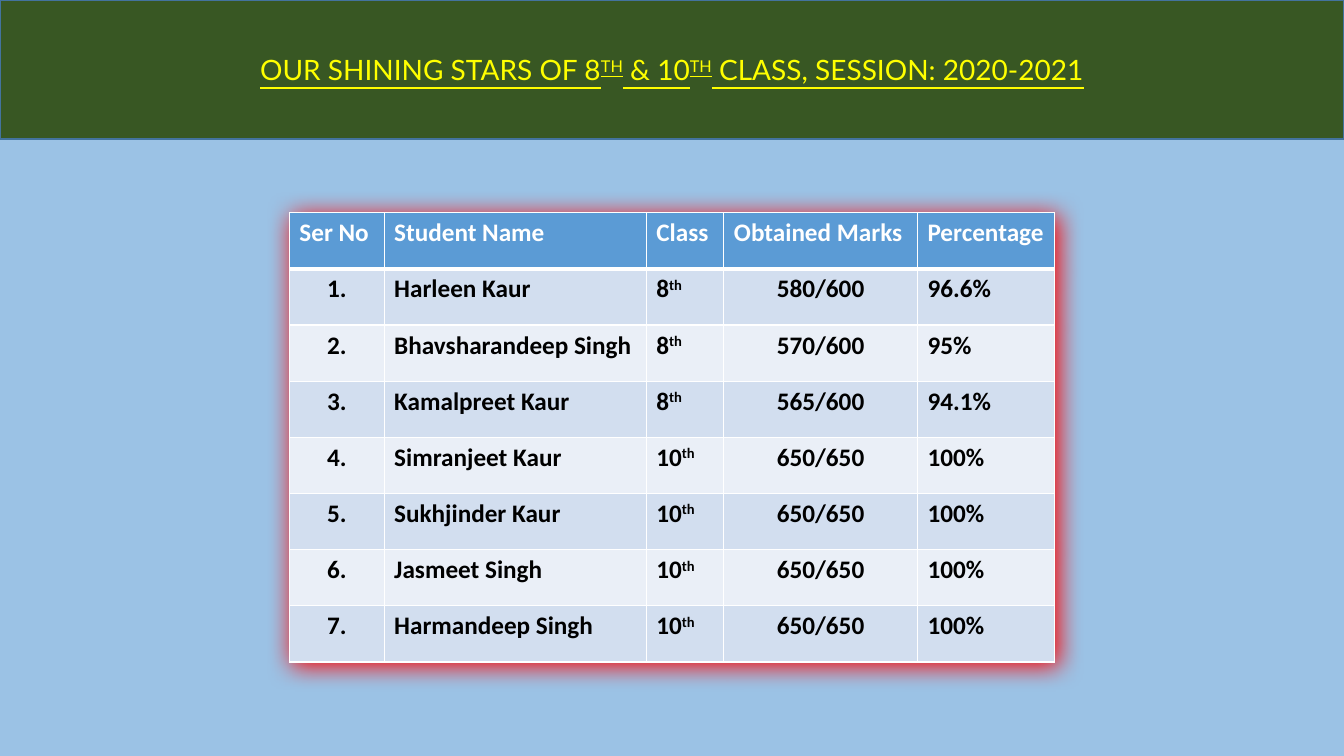
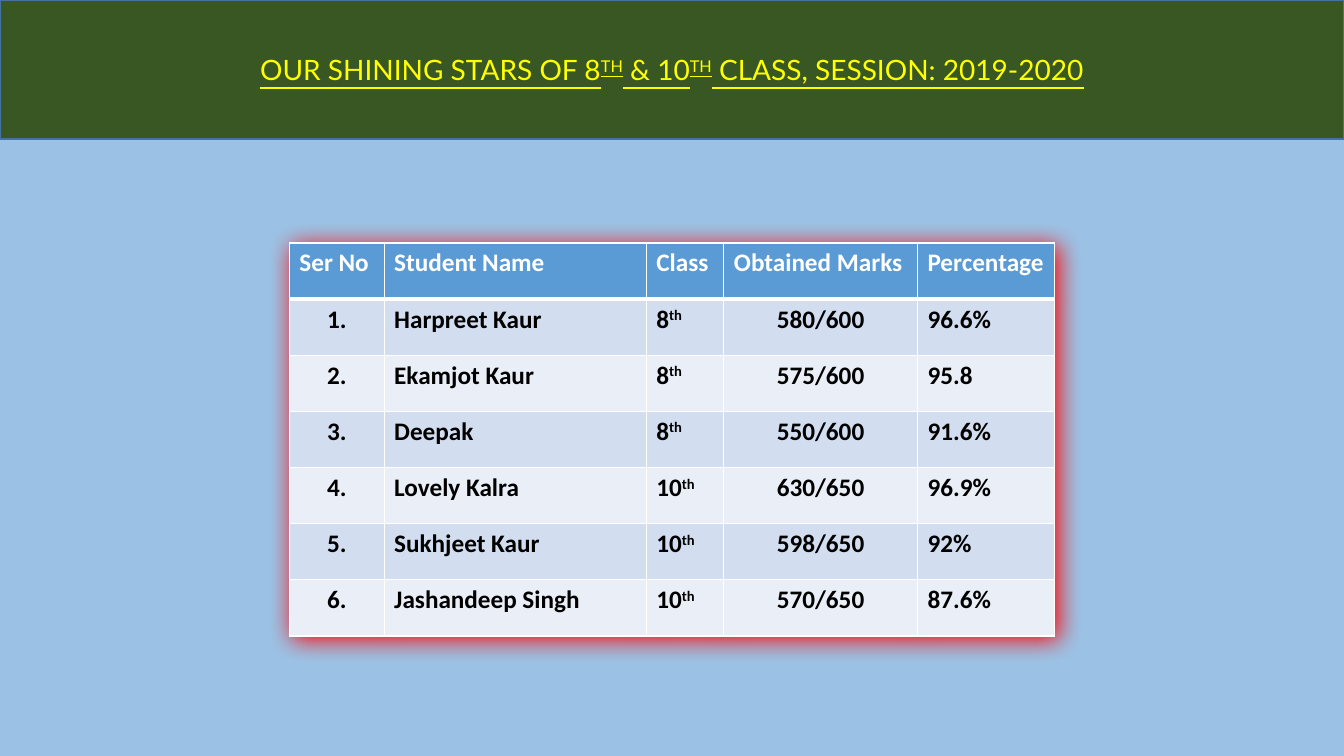
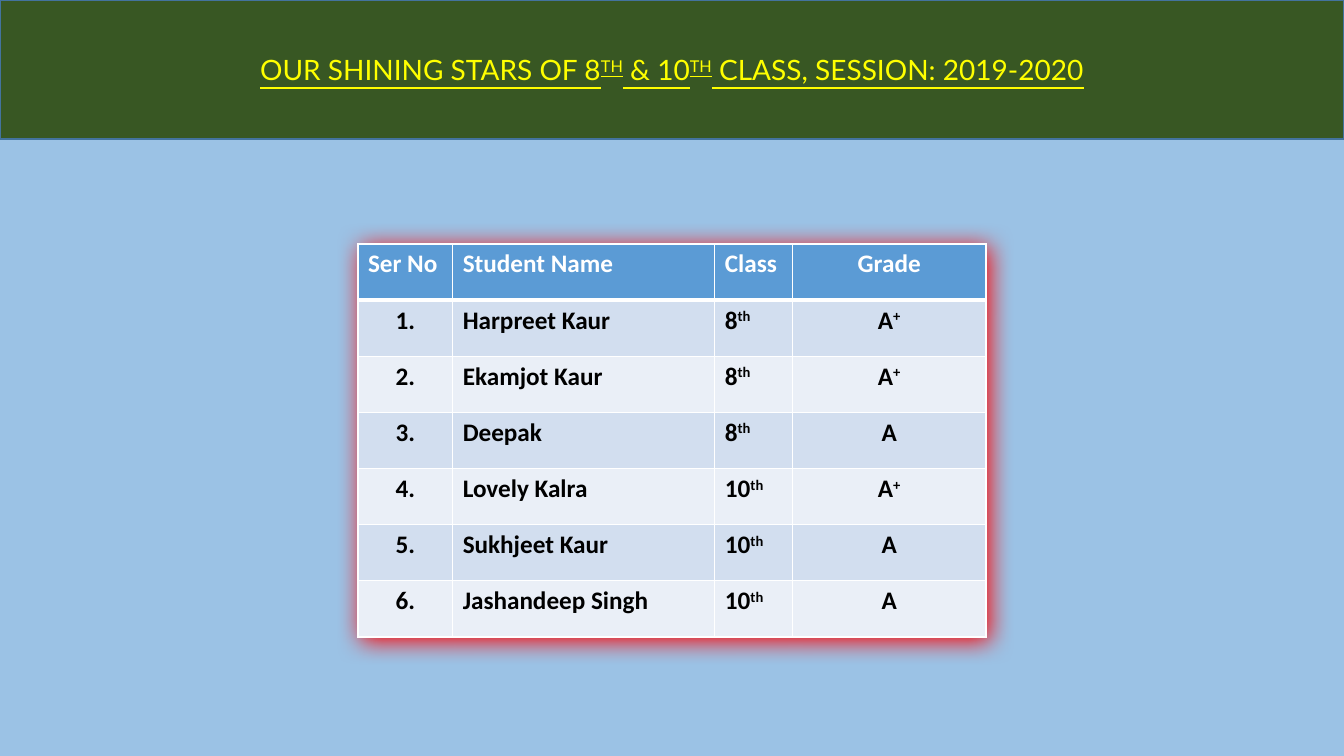
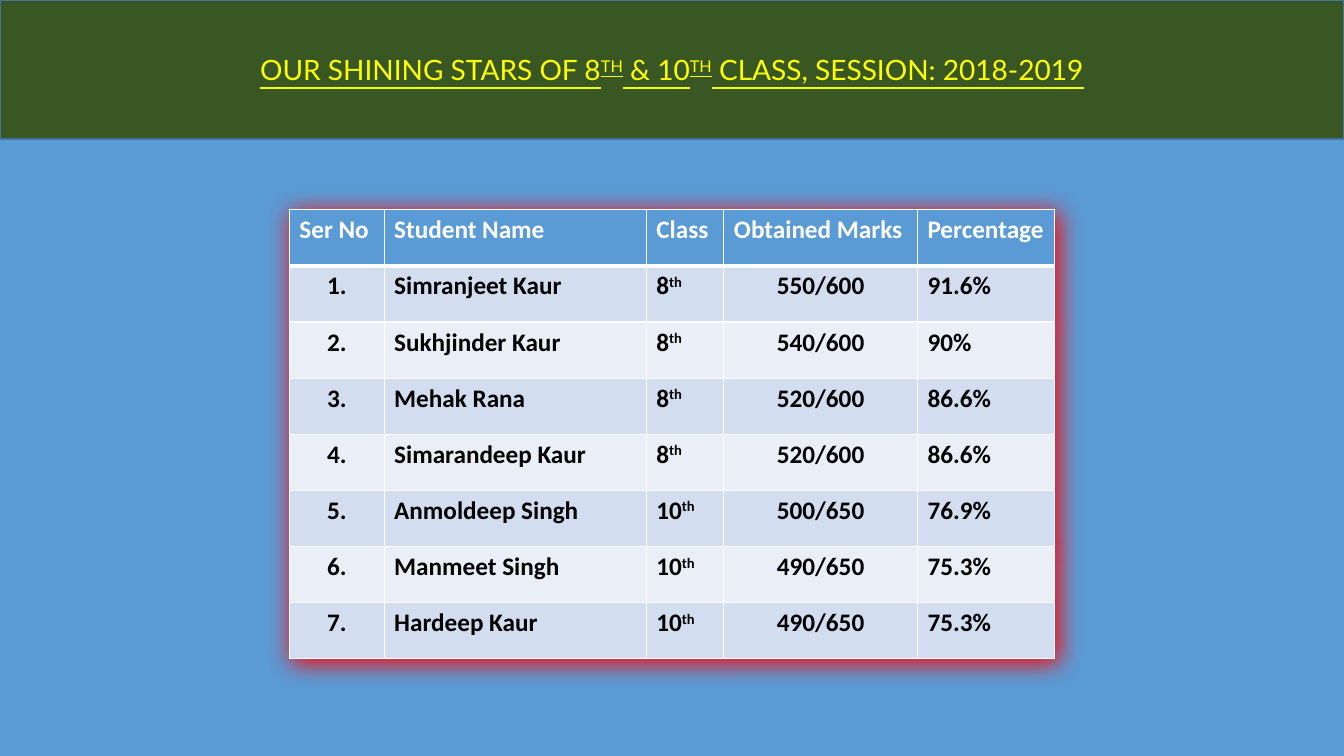
from dataclasses import dataclass

from lxml.etree import SubElement as Sub
from pptx import Presentation
from pptx.dml.color import RGBColor
from pptx.enum.text import MSO_ANCHOR as Anchor, MSO_AUTO_SIZE as Fit, PP_ALIGN as Align
from pptx.oxml import parse_xml
from pptx.oxml.ns import nsdecls, qn
from pptx.util import Inches, Pt

WIDE, HIGH = Inches(13.33), Inches(7.5)
BLUE, PALE, GREEN, EDGE = "5B9BD5", "9BC2E5", "385723", "43739E"
YELLOW, WHITE, BLACK, RED = "FFFF00", "FFFFFF", "000000", "FF0000"
BANDS = ("D2DEEF", "EAEFF7")
ROW = Inches(3.9) // 7
TITLE = "OUR SHINING STARS OF 8^TH^ & 10^TH^ CLASS, SESSION: "


@dataclass(frozen=True)
class Column:
    """A table column with its heading, width and alignments."""
    head: str
    width: float
    align: Align = Align.LEFT
    top: Align = Align.LEFT


@dataclass(frozen=True)
class Page:
    """One session's table of students."""
    session: str
    top: float
    cols: tuple[Column, ...]
    rows: tuple[tuple[str, ...], ...]
    back: str = PALE


BASE = (
    Column("Ser No", 0.94, Align.CENTER),
    Column("Student Name", 2.6),
    Column("Class", 0.77),
)
MARKS = BASE + (Column("Obtained Marks", 1.92, Align.CENTER), Column("Percentage", 1.36))
GRADES = BASE + (Column("Grade", 1.92, Align.CENTER, Align.CENTER),)

PAGES = (
    Page("2020-2021", 2.11, MARKS, (
        ("Harleen Kaur", "8", "580/600", "96.6%"),
        ("Bhavsharandeep Singh", "8", "570/600", "95%"),
        ("Kamalpreet Kaur", "8", "565/600", "94.1%"),
        ("Simranjeet Kaur", "10", "650/650", "100%"),
        ("Sukhjinder Kaur", "10", "650/650", "100%"),
        ("Jasmeet Singh", "10", "650/650", "100%"),
        ("Harmandeep Singh", "10", "650/650", "100%"),
    )),
    Page("2019-2020", 2.41, MARKS, (
        ("Harpreet Kaur", "8", "580/600", "96.6%"),
        ("Ekamjot Kaur", "8", "575/600", "95.8"),
        ("Deepak", "8", "550/600", "91.6%"),
        ("Lovely Kalra", "10", "630/650", "96.9%"),
        ("Sukhjeet Kaur", "10", "598/650", "92%"),
        ("Jashandeep Singh", "10", "570/650", "87.6%"),
    )),
    Page("2019-2020", 2.42, GRADES, (
        ("Harpreet Kaur", "8", "A^+"),
        ("Ekamjot Kaur", "8", "A^+"),
        ("Deepak", "8", "A"),
        ("Lovely Kalra", "10", "A^+"),
        ("Sukhjeet Kaur", "10", "A"),
        ("Jashandeep Singh", "10", "A"),
    )),
    Page("2018-2019", 2.08, MARKS, (
        ("Simranjeet Kaur", "8", "550/600", "91.6%"),
        ("Sukhjinder Kaur", "8", "540/600", "90%"),
        ("Mehak Rana", "8", "520/600", "86.6%"),
        ("Simarandeep Kaur", "8", "520/600", "86.6%"),
        ("Anmoldeep Singh", "10", "500/650", "76.9%"),
        ("Manmeet Singh", "10", "490/650", "75.3%"),
        ("Hardeep Kaur", "10", "490/650", "75.3%"),
    ), BLUE),
)


def paint(fill, color: str) -> None:
    """Make a fill solid in the given hex colour."""
    fill.solid()
    fill.fore_color.rgb = RGBColor.from_string(color)


def write(frame, text: str, *, size: float = 18, font: str = "Calibri",
          color: str = BLACK, bold: bool = False, line: bool = False,
          align: Align = Align.LEFT) -> None:
    """Write text into a frame, raising each part between carets."""
    para = frame.paragraphs[0]
    para.alignment = align
    para.line_spacing = 1.0
    for at, part in enumerate(text.split("^")):
        if not part:
            continue
        run = para.add_run()
        run.text = part
        run.font.size, run.font.name = Pt(size), font
        run.font.bold, run.font.underline = bold, line
        run.font.color.rgb = RGBColor.from_string(color)
        if at % 2:
            run.font._element.set("baseline", "30000")


def border(cell, **sides: float) -> None:
    """Draw white cell borders of the given point widths."""
    props = cell._tc.get_or_add_tcPr()
    for side, width in sides.items():
        edge = Sub(props, qn(f"a:ln{side}"), w=str(Pt(width)))
        Sub(Sub(edge, qn("a:solidFill")), qn("a:srgbClr"), val=WHITE)


def glow(table) -> None:
    """Put a soft red shadow around a table."""
    table._tbl.tblPr.insert(0, parse_xml(
        f'<a:effectLst {nsdecls("a")}><a:outerShdw blurRad="{Inches(0.25)}" '
        f'dist="{Inches(0.04)}" dir="2700000" algn="ctr" rotWithShape="0">'
        f'<a:srgbClr val="{RED}"/></a:outerShdw></a:effectLst>'))


def banner(slide, session: str) -> None:
    """Format the title as a green band across the slide."""
    band = slide.shapes.title
    band.left, band.top, band.width, band.height = 0, 0, WIDE, Inches(1.38)
    paint(band.fill, GREEN)
    paint(band.line.fill, EDGE)
    band.line.width = Pt(1)
    frame = band.text_frame
    frame.word_wrap, frame.auto_size = True, Fit.NONE
    frame.vertical_anchor = Anchor.MIDDLE
    write(frame, TITLE + session, size=20, font="Lato", color=YELLOW,
          line=True, align=Align.CENTER)


def grid(slide, page: Page) -> None:
    """Draw the centred student table."""
    width = sum(Inches(col.width) for col in page.cols)
    count = len(page.rows) + 1
    table = slide.shapes.add_table(
        count, len(page.cols), (WIDE - width) // 2, Inches(page.top),
        width, ROW * count).table
    glow(table)
    for row in table.rows:
        row.height = ROW
    body = [(f"{num}.", name, f"{year}^th", *marks)
            for num, (name, year, *marks) in enumerate(page.rows, 1)]
    lines = [tuple(col.head for col in page.cols), *body]
    for x, col in enumerate(page.cols):
        table.columns[x].width = Inches(col.width)
        for y, line in enumerate(lines):
            cell, head = table.cell(y, x), y == 0
            border(cell, L=1, R=1, T=3 if y == 1 else 1, B=3 if head else 1)
            paint(cell.fill, BLUE if head else BANDS[(y - 1) % 2])
            write(cell.text_frame, line[x], bold=True,
                  color=WHITE if head else BLACK,
                  align=col.top if head else col.align)


def main() -> None:
    """Build and save the presentation."""
    deck = Presentation()
    deck.slide_width, deck.slide_height = WIDE, HIGH
    for page in PAGES:
        slide = deck.slides.add_slide(deck.slide_layouts[5])
        paint(slide.background.fill, page.back)
        banner(slide, page.session)
        grid(slide, page)
    deck.save("out.pptx")


if __name__ == "__main__":
    main()
